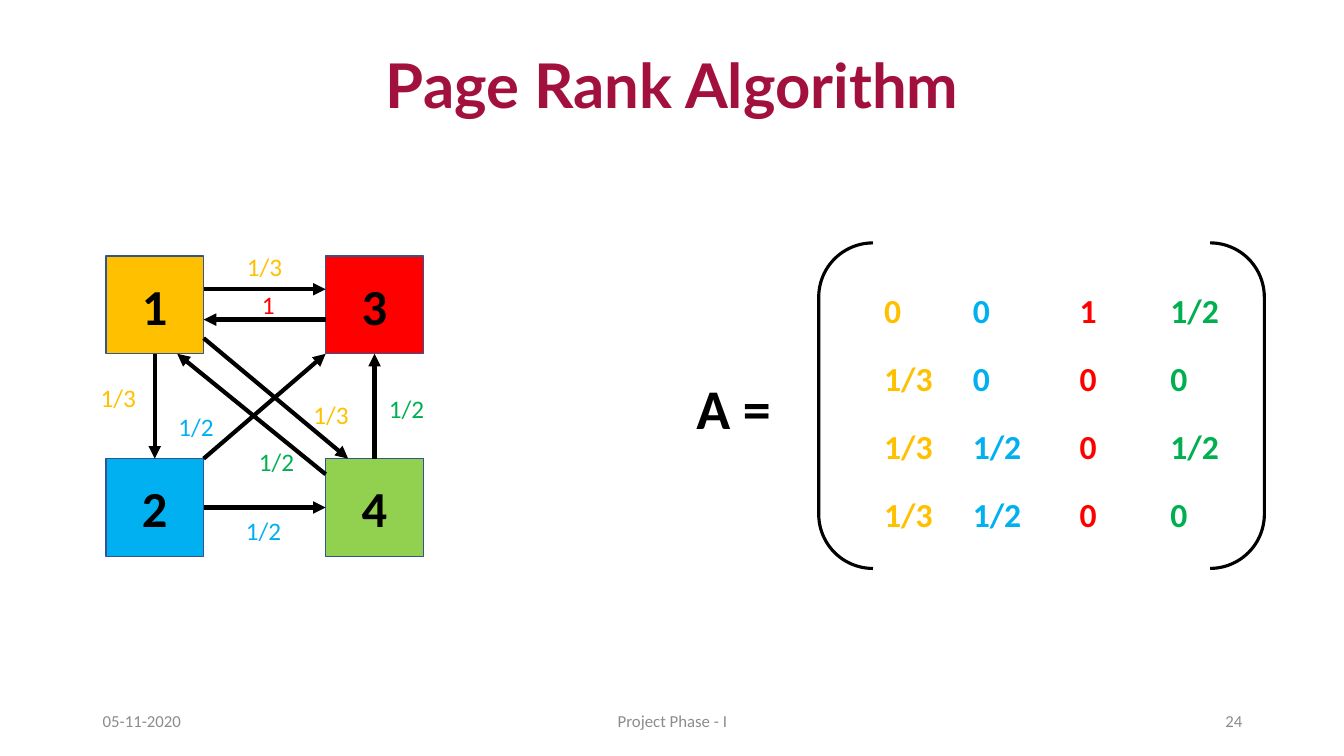
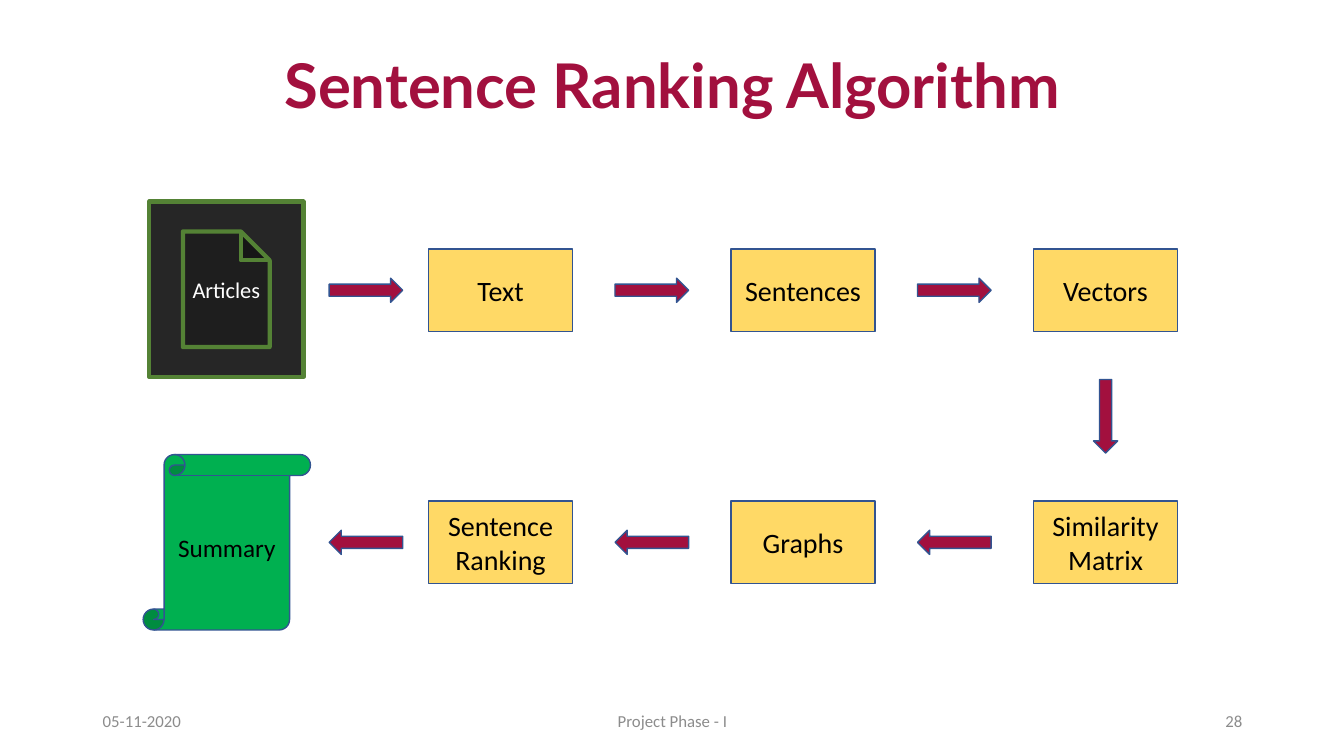
import dataclasses
import typing

import lxml.etree
import pptx
import pptx.dml.color
import pptx.enum.shapes
import pptx.enum.text
import pptx.oxml.ns
import pptx.util

SHAPE = pptx.enum.shapes.MSO_SHAPE
ALIGN = pptx.enum.text.PP_ALIGN
ANCHOR = pptx.enum.text.MSO_ANCHOR
IN = pptx.util.Inches

COLORS = {
    "crimson": "A2103E", "gray": "8C8C8C", "black": "000000", "white": "FFFFFF",
    "outline": "325491", "amber": "FFC000", "sky": "00B0F0", "red": "FF0000",
    "lime": "92D050", "green": "00B050", "sand": "FFD966",
    "charcoal": "262626", "moss": "548235",
}
WIDTH, HEIGHT = 13.33, 7.5
FOOTER_TOP, FOOTER_HEIGHT = 6.95, 0.4


class Box(typing.NamedTuple):
    left: float
    top: float
    width: float
    height: float

    def point(self, across: float, down: float) -> tuple[float, float]:
        """Return the point at these shares of the box's width and height."""
        return self.left + across * self.width, self.top + down * self.height


@dataclasses.dataclass(frozen=True)
class Node:
    column: int
    row: int
    fill: str
    weight_color: str


@dataclasses.dataclass(frozen=True)
class Edge:
    """A weighted link; exit and entry are shares of each node's side."""
    source: int
    target: int
    exit: tuple[float, float]
    entry: tuple[float, float]
    weight: str
    label_at: tuple[float, float]


@dataclasses.dataclass(frozen=True)
class Step:
    text: str
    column: int
    row: int


NODES = {
    1: Node(0, 0, "amber", "amber"),
    2: Node(0, 1, "sky", "sky"),
    3: Node(1, 0, "red", "red"),
    4: Node(1, 1, "lime", "green"),
}
EDGES = [
    Edge(1, 2, (0.5, 1), (0.5, 0), "1/3", (0.9, 3.74)),
    Edge(1, 3, (1, 0.34), (0, 0.34), "1/3", (2.35, 2.44)),
    Edge(4, 3, (0.5, 0), (0.5, 1), "1/2", (3.76, 3.85)),
    Edge(2, 3, (1, 0), (0, 1), "1/2", (1.67, 4.03)),
    Edge(2, 4, (1, 0.5), (0, 0.5), "1/2", (2.34, 5.06)),
    Edge(3, 1, (0, 0.65), (1, 0.65), "1", (2.5, 2.82)),
    Edge(1, 4, (1, 0.84), (0.23, 0), "1/3", (3.01, 3.91)),
    Edge(4, 1, (0, 0.16), (0.73, 1), "1/2", (2.47, 4.38)),
]
NODE_SIDE, NODE_LEFT, NODE_TOP = 0.97, 1.05, 2.54
NODE_COLUMN_STEP, NODE_ROW_STEP = 2.18, 2.01
MATRIX_COLUMNS = {1: 8.67, 2: 9.55, 3: 10.61, 4: 11.51}
MATRIX_TOP, MATRIX_HEIGHT = 2.83, 2.02

STEPS = [
    Step("Text", 0, 0), Step("Sentences", 1, 0), Step("Vectors", 2, 0),
    Step("Similarity Matrix", 2, 1), Step("Graphs", 1, 1), Step("Sentence Ranking", 0, 1),
]
STEP_LEFT, STEP_TOP, STEP_WIDTH, STEP_HEIGHT = 4.25, 2.47, 1.43, 0.82
STEP_COLUMN_STEP, STEP_ROW_STEP = 3.0, 2.5
ARTICLES = Box(1.48, 2, 1.53, 1.74)
SUMMARY = Box(1.42, 4.51, 1.66, 1.74)
ARROW_LENGTH, ARROW_THICKNESS = 0.73, 0.24


def rgb(name: str) -> pptx.dml.color.RGBColor:
    return pptx.dml.color.RGBColor.from_string(COLORS[name])


def write(frame, text: str, *, size: float, color: str = "black", bold: bool = False,
          font: str = "Calibri", align=ALIGN.LEFT, anchor=ANCHOR.TOP,
          spacing: float = 1.0) -> None:
    frame.word_wrap = True
    frame.vertical_anchor = anchor
    paragraph = frame.paragraphs[0]
    paragraph.alignment = align
    paragraph.line_spacing = spacing
    run = paragraph.add_run()
    run.text = text
    run.font.name = font
    run.font.size = pptx.util.Pt(size)
    run.font.bold = bold
    run.font.color.rgb = rgb(color)


def add_label(slide, box: Box, text: str, **style) -> None:
    write(slide.shapes.add_textbox(*map(IN, box)).text_frame, text, **style)


def add_figure(slide, kind, box: Box, fill: str | None, text: str = "", *,
               line: str = "outline", line_width: float = 1, rotation: float = 0,
               **style) -> None:
    """Add a preset shape, with centred text if there is any."""
    figure = slide.shapes.add_shape(kind, *map(IN, box))
    figure.shadow.inherit = False
    figure.rotation = rotation
    if fill:
        figure.fill.solid()
        figure.fill.fore_color.rgb = rgb(fill)
    else:
        figure.fill.background()
    figure.line.color.rgb = rgb(line)
    figure.line.width = pptx.util.Pt(line_width)
    if text:
        write(figure.text_frame, text, align=ALIGN.CENTER, anchor=ANCHOR.MIDDLE, **style)


def add_link(slide, start: tuple[float, float], end: tuple[float, float]) -> None:
    """Add a straight line with an arrowhead at its end."""
    link = slide.shapes.add_connector(
        pptx.enum.shapes.MSO_CONNECTOR.STRAIGHT, *map(IN, start + end))
    link.line.color.rgb = rgb("black")
    link.line.width = pptx.util.Pt(3)
    qn = pptx.oxml.ns.qn
    lxml.etree.SubElement(link.line._get_or_add_ln(), qn("a:tailEnd"), type="triangle")
    lxml.etree.SubElement(link._element.spPr, qn("a:effectLst"))


def add_base_slide(deck, title: str, number: int):
    """Add a blank slide with the title and footer that all slides share."""
    slide = deck.slides.add_slide(deck.slide_layouts[6])
    add_label(slide, Box(0.92, 0.15, 11.5, 1.45), title, size=44, font="Lato", bold=True,
              color="crimson", align=ALIGN.CENTER, anchor=ANCHOR.MIDDLE, spacing=0.9)
    footers = [
        (0.92, 3, "05-11-2020", ALIGN.LEFT),
        (4.42, 4.5, "Project Phase - I", ALIGN.CENTER),
        (9.42, 3, str(number), ALIGN.RIGHT),
    ]
    for left, width, text, align in footers:
        add_label(slide, Box(left, FOOTER_TOP, width, FOOTER_HEIGHT), text, size=12,
                  color="gray", align=align, anchor=ANCHOR.MIDDLE)
    return slide


def node_box(node: Node) -> Box:
    return Box(NODE_LEFT + node.column * NODE_COLUMN_STEP,
               NODE_TOP + node.row * NODE_ROW_STEP, NODE_SIDE, NODE_SIDE)


def draw_graph(slide) -> None:
    for number, node in NODES.items():
        add_figure(slide, SHAPE.RECTANGLE, node_box(node), node.fill, str(number),
                   size=36, bold=True)
    for edge in EDGES:
        source = NODES[edge.source]
        add_link(slide, node_box(source).point(*edge.exit),
                 node_box(NODES[edge.target]).point(*edge.entry))
        add_label(slide, Box(*edge.label_at, 0.64, 0.4), edge.weight, size=18,
                  color=source.weight_color)


def draw_matrix(slide) -> None:
    """Draw the link weights, with sources as columns and targets as rows."""
    weights = {(edge.source, edge.target): edge.weight for edge in EDGES}
    add_label(slide, Box(6.81, 3.66, 1.1, 0.77), "A =", size=40, bold=True)
    add_figure(slide, SHAPE.DOUBLE_BRACKET, Box(8.12, 2.41, 4.42, 3.23), None,
               line="black", line_width=2.25)
    row_step = MATRIX_HEIGHT / (len(NODES) - 1)
    for source, left in MATRIX_COLUMNS.items():
        for row, target in enumerate(NODES):
            add_label(slide, Box(left, MATRIX_TOP + row * row_step, 0.88, 0.5),
                      weights.get((source, target), "0"), size=24, bold=True,
                      color=NODES[source].weight_color)


def step_box(step: Step) -> Box:
    return Box(STEP_LEFT + step.column * STEP_COLUMN_STEP,
               STEP_TOP + step.row * STEP_ROW_STEP, STEP_WIDTH, STEP_HEIGHT)


def add_flow_arrow(slide, center: tuple[float, float], rotation: float) -> None:
    x, y = center
    box = Box(x - ARROW_LENGTH / 2, y - ARROW_THICKNESS / 2, ARROW_LENGTH, ARROW_THICKNESS)
    add_figure(slide, SHAPE.RIGHT_ARROW, box, "crimson", rotation=rotation)


def draw_flow(slide) -> None:
    """Draw the steps, with an arrow midway in every gap between them."""
    add_figure(slide, SHAPE.ACTION_BUTTON_DOCUMENT, ARTICLES, "charcoal", "Articles",
               line="moss", line_width=3, size=16, color="white")
    add_figure(slide, SHAPE.VERTICAL_SCROLL, SUMMARY, "green", "Summary", size=18)
    for step in STEPS:
        box = step_box(step)
        add_figure(slide, SHAPE.RECTANGLE, box, "sand", step.text, size=20)
        previous_right = ARTICLES.left + ARTICLES.width
        if step.column:
            previous_right = box.left - STEP_COLUMN_STEP + STEP_WIDTH
        add_flow_arrow(slide, ((previous_right + box.left) / 2, box.point(0, 0.5)[1]),
                       180 * step.row)
    turn_x, vectors_y = step_box(STEPS[2]).point(0.5, 0.5)
    add_flow_arrow(slide, (turn_x, vectors_y + STEP_ROW_STEP / 2), 90)


def main() -> None:
    deck = pptx.Presentation()
    deck.slide_width, deck.slide_height = IN(WIDTH), IN(HEIGHT)
    page_rank = add_base_slide(deck, "Page Rank Algorithm", 24)
    draw_graph(page_rank)
    draw_matrix(page_rank)
    draw_flow(add_base_slide(deck, "Sentence Ranking Algorithm", 28))
    deck.save("out.pptx")


if __name__ == "__main__":
    main()
